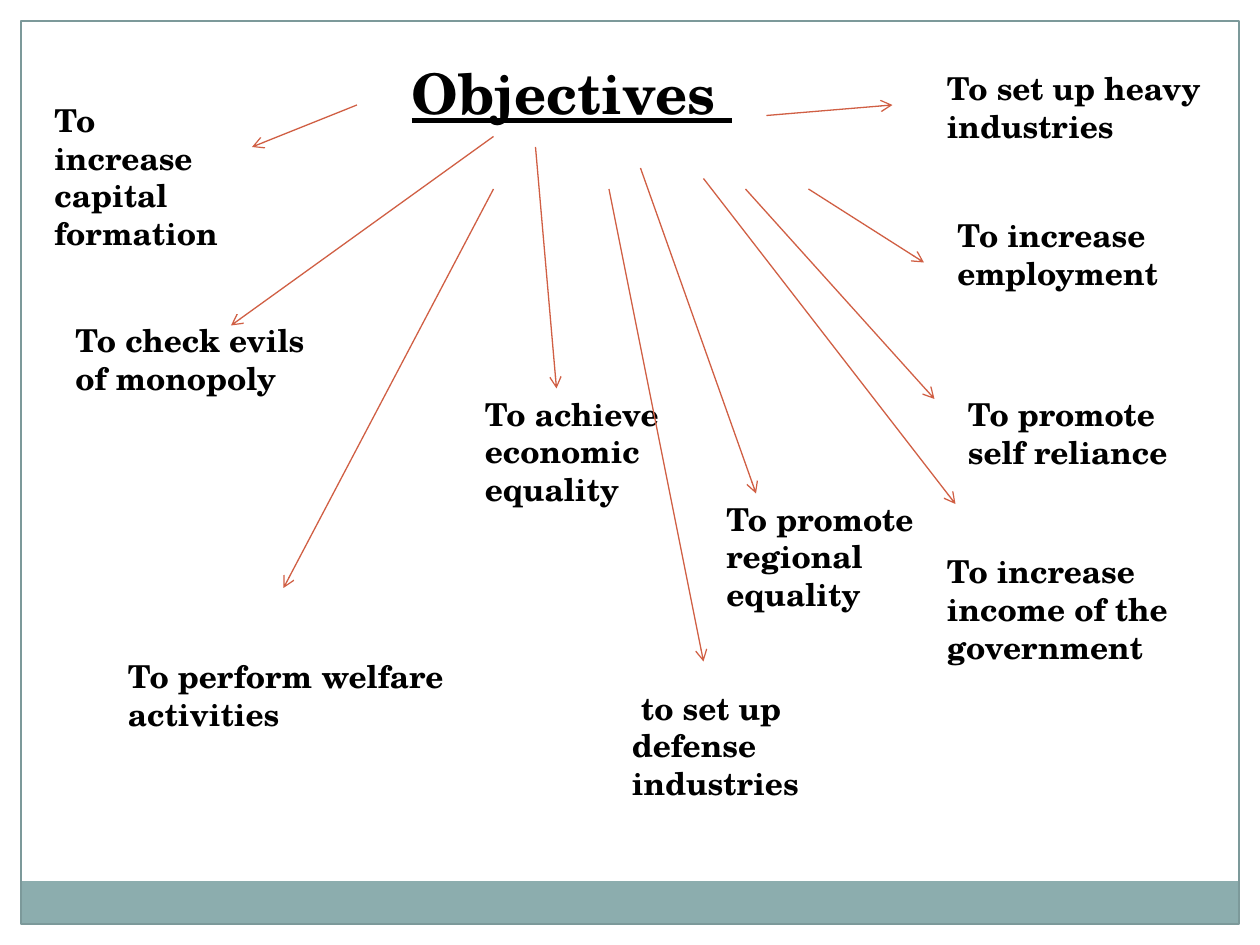
import pptx
import pptx.util
import pptx.dml.color
import pptx.enum.shapes
import pptx.enum.text
import pptx.oxml
import pptx.oxml.ns
from collections import namedtuple
from dataclasses import dataclass

Pt = pptx.util.Pt
Box = namedtuple("Box", "left top width height")
Objective = namedtuple("Objective", "text left top width lines start end")


@dataclass(frozen=True)
class Theme:
    font: str = "TeX Gyre Schola"
    ink: str = "000000"
    band: str = "8CADAE"
    border: str = "7C999A"
    arrow: str = "D05F44"
    title_size: float = 32
    body_size: float = 18
    line_width: float = 0.75
    line_height: float = 21.8
    text_padding: float = 7.2


THEME = Theme()

OBJECTIVES = [
    Objective("To increase capital formation", 12, 42, 114, 5, (192, 48), (132, 72)),
    Objective("To set up heavy industries", 522, 24, 186, 3, (426, 54), (498, 48)),
    Objective("To check evils of monopoly", 24, 168, 150, 3, (270, 66), (120, 174)),
    Objective("To achieve economic equality", 258, 210, 150, 4, (294, 72), (306, 210)),
    Objective("To perform welfare activities", 54, 360, 198, 3, (270, 96), (150, 324)),
    Objective(" to set up defense industries", 342, 378, 162, 4, (336, 96), (390, 366)),
    Objective("To promote regional equality", 396, 270, 138, 4, (354, 84), (420, 270)),
    Objective("To increase income of the government", 522, 300, 156, 4, (390, 90), (534, 276)),
    Objective("To promote self reliance", 534, 210, 144, 3, (414, 96), (522, 216)),
    Objective("To increase employment", 528, 108, 132, 3, (450, 96), (516, 138)),
]


def rgb(value):
    return pptx.dml.color.RGBColor.from_string(value)


def in_points(*values):
    return [Pt(value) for value in values]


def write_text(shape, text, size=THEME.body_size, color=THEME.ink, bold=True, underline=None):
    frame = shape.text_frame
    frame.word_wrap = True
    frame.auto_size = pptx.enum.text.MSO_AUTO_SIZE.NONE
    frame.vertical_anchor = pptx.enum.text.MSO_ANCHOR.TOP
    paragraph = frame.paragraphs[0]
    paragraph.alignment = pptx.enum.text.PP_ALIGN.LEFT
    run = paragraph.add_run()
    run.text = text
    run.font.name = THEME.font
    run.font.size = Pt(size)
    run.font.color.rgb = rgb(color)
    run.font.bold = bold
    run.font.underline = underline


def add_rectangle(slide, box, fill=None, line=None):
    rectangle = slide.shapes.add_shape(
        pptx.enum.shapes.MSO_SHAPE.RECTANGLE, *in_points(*box))
    rectangle.shadow.inherit = False
    if fill:
        rectangle.fill.solid()
        rectangle.fill.fore_color.rgb = rgb(fill)
    else:
        rectangle.fill.background()
    if line:
        rectangle.line.color.rgb = rgb(line)
        rectangle.line.width = Pt(THEME.line_width)
    else:
        rectangle.line.fill.background()


def add_arrow(slide, start, end):
    arrow = slide.shapes.add_connector(
        pptx.enum.shapes.MSO_CONNECTOR.STRAIGHT, *in_points(*start, *end))
    arrow.line.color.rgb = rgb(THEME.arrow)
    arrow.line.width = Pt(THEME.line_width)
    head = pptx.oxml.parse_xml(
        f'<a:tailEnd {pptx.oxml.ns.nsdecls("a")} type="arrow"/>')
    arrow.line._get_or_add_ln().append(head)
    arrow._element.spPr.append(
        pptx.oxml.parse_xml(f'<a:effectLst {pptx.oxml.ns.nsdecls("a")}/>'))


def draw_frame(slide, box, band_height=24.5):
    band_top = box.top + box.height - band_height
    add_rectangle(slide, Box(box.left, band_top, box.width, band_height), fill=THEME.band)
    add_rectangle(slide, box, line=THEME.border)


def draw_title(slide, box):
    title = slide.shapes.title
    title.left, title.top, title.width, title.height = in_points(*box)
    write_text(title, "Objectives ", size=THEME.title_size, underline=True)


def draw_objectives(slide, box):
    for objective in OBJECTIVES:
        start, end = [(box.left + x, box.top + y)
                      for x, y in (objective.start, objective.end)]
        add_arrow(slide, start, end)
        height = THEME.text_padding + objective.lines * THEME.line_height
        label = slide.shapes.add_textbox(*in_points(
            box.left + objective.left, box.top + objective.top, objective.width, height))
        write_text(label, objective.text)


def build_objectives_slide(deck):
    slide = deck.slides.add_slide(deck.slide_layouts[5])
    page = Box(12, 12, 696, 516)
    draw_frame(slide, page)
    draw_title(slide, Box(page.left + 216, page.top + 18, 198, 46))
    draw_objectives(slide, page)


deck = pptx.Presentation()
deck.slide_width, deck.slide_height = in_points(720, 540)
build_objectives_slide(deck)
deck.save("out.pptx")
